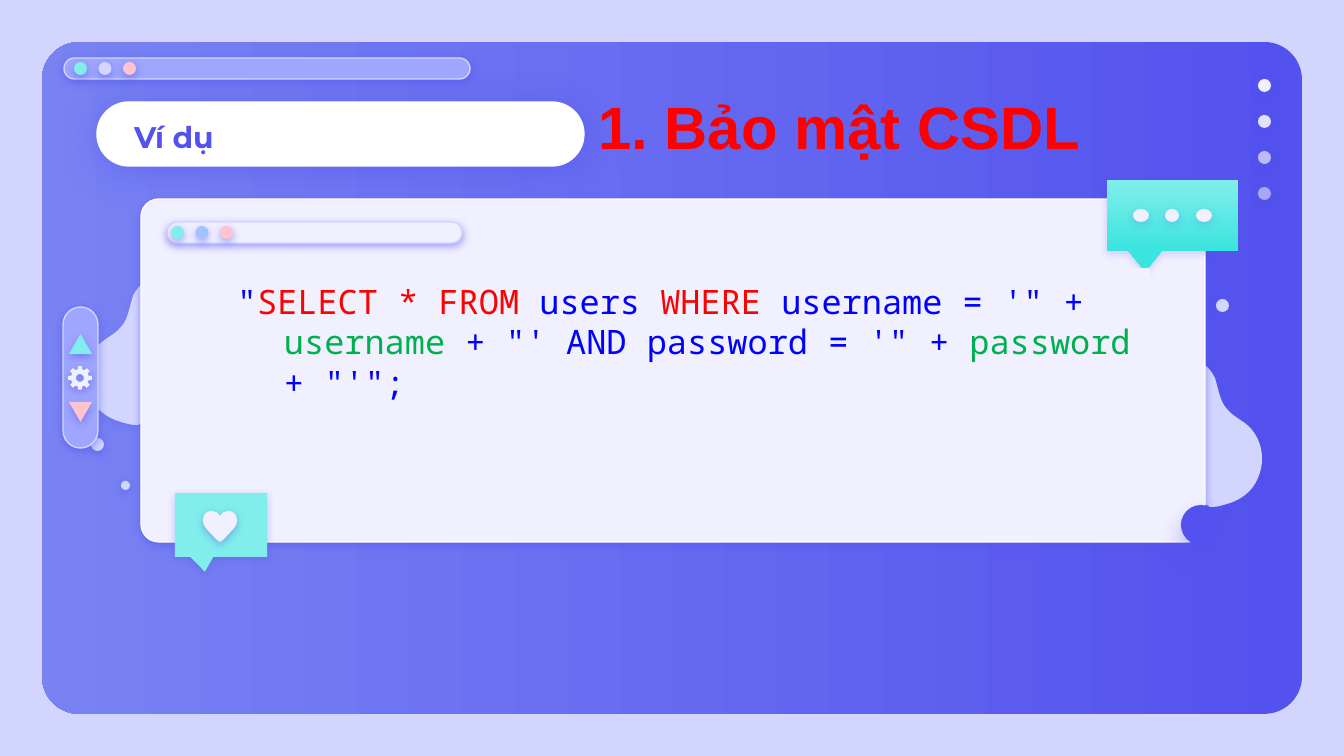
"""Build a slide showing an SQL query inside a playful window frame."""
from math import cos, pi, sin

from lxml import etree
from pptx import Presentation
from pptx.dml.color import RGBColor
from pptx.enum.shapes import MSO_SHAPE
from pptx.enum.text import MSO_ANCHOR, MSO_AUTO_SIZE, PP_ALIGN
from pptx.oxml.ns import qn
from pptx.util import Emu, Pt

ROUNDED = MSO_SHAPE.ROUNDED_RECTANGLE
OVAL = MSO_SHAPE.OVAL
TRIANGLE = MSO_SHAPE.ISOSCELES_TRIANGLE
CALLOUT = MSO_SHAPE.ROUNDED_RECTANGULAR_CALLOUT
MIDDLE, TOP = MSO_ANCHOR.MIDDLE, MSO_ANCHOR.TOP
LEFT, CENTER = PP_ALIGN.LEFT, PP_ALIGN.CENTER
NO_FIT = MSO_AUTO_SIZE.NONE

INDIGO = RGBColor(0x53, 0x52, 0xEE)
PERIWINKLE = RGBColor(0x78, 0x82, 0xF3)
LILAC = RGBColor(0x9E, 0xA6, 0xFF)
LAVENDER = RGBColor(0xD2, 0xD6, 0xFF)
PALE = RGBColor(0xF1, 0xF0, 0xFF)
WHITE = RGBColor(0xFF, 0xFF, 0xFF)
AQUA = RGBColor(0x81, 0xEE, 0xEB)
TEAL = RGBColor(0x3A, 0xE4, 0xDF)
PINK = RGBColor(0xFF, 0xC3, 0xD0)
SKY = RGBColor(0xA1, 0xC3, 0xFF)
RED = RGBColor(0xFF, 0x00, 0x00)
BLUE = RGBColor(0x00, 0x00, 0xFF)
GREEN = RGBColor(0x00, 0xB0, 0x50)

PX = 914400 / 134.4

presentation = Presentation()
presentation.slide_width = Emu(round(1344 * PX))
presentation.slide_height = Emu(round(756 * PX))
slide = presentation.slides.add_slide(presentation.slide_layouts[5])
shapes = slide.shapes
slide.background.fill.solid()
slide.background.fill.fore_color.rgb = LAVENDER


def style(shape, fill, line=None, shadow=50, blur=4.5, distance=1.5):
    """Set the fill, outline and downward shadow of a shape."""
    if isinstance(fill, tuple) and not isinstance(fill, RGBColor):
        colors, angle = fill
        shape.fill.gradient()
        shape.fill.gradient_angle = angle
        for stop, color in zip(shape.fill.gradient_stops, colors):
            stop.color.rgb = color
    else:
        shape.fill.solid()
        shape.fill.fore_color.rgb = fill
    if line is None:
        shape.line.fill.background()
    else:
        shape.line.color.rgb = line
        shape.line.width = Pt(0.75)
    shape.shadow.inherit = False
    if shadow:
        effects = shape._element.spPr.find(qn("a:effectLst"))
        outer = etree.SubElement(effects, qn("a:outerShdw"), blurRad=str(Pt(blur)),
                                 dist=str(Pt(distance)), dir="5400000", algn="bl", rotWithShape="0")
        color = etree.SubElement(outer, qn("a:srgbClr"), val=str(INDIGO))
        etree.SubElement(color, qn("a:alpha"), val=str(shadow * 1000))
    return shape


def add(kind, box, fill, adjustments=(), **options):
    """Add a preset shape, or a closed Bézier outline when kind is None."""
    if kind is not None:
        shape = shapes.add_shape(kind, *[Emu(round(value * PX)) for value in box])
        for index, value in enumerate(adjustments):
            shape.adjustments[index] = value
        return style(shape, fill, **options)
    points = [(x * PX, y * PX) for x, y in box]
    builder = shapes.build_freeform(*points[0])
    builder.add_line_segments(points[1:], close=True)
    shape = builder.convert_to_shape()
    segments = list(shape._element.iter(qn("a:lnTo")))
    for start in range(0, len(box) - 1, 3):
        curve = etree.Element(qn("a:cubicBezTo"))
        segments[start].addprevious(curve)
        for segment in segments[start:start + 3]:
            curve.append(segment[0])
            segment.getparent().remove(segment)
    return style(shape, fill, **options)


add(ROUNDED, (42, 42, 1260, 672), ((INDIGO, PERIWINKLE), 180), [0.056], shadow=0)

side_dots = []
for index, opacity in enumerate((100, 90, 67, 54)):
    dot = add(OVAL, (1258, 79 + 36 * index, 13, 13), PALE)
    color = dot._element.spPr.find(qn("a:solidFill"))[0]
    etree.SubElement(color, qn("a:alpha"), val=str(opacity * 1000))
    side_dots.append(dot)
shapes.add_group_shape(side_dots)

blob = [
    (1148, 317), (1145, 317), (1142, 319), (1141, 320), (1129, 332), (1150, 345), (1156, 355),
    (1160, 363), (1156, 375), (1154, 383), (1154, 392), (1156, 402), (1165, 407),
    (1171, 411), (1176, 414), (1180, 421), (1185, 427), (1187, 437), (1187, 446),
    (1185, 453), (1183, 462), (1183, 472), (1183, 477), (1183, 485), (1189, 492),
    (1195, 499), (1202, 503), (1207, 505), (1208, 507), (1211, 507), (1212, 507),
    (1218, 507), (1223, 505), (1227, 504), (1241, 500), (1253, 491), (1258, 478),
    (1267, 458), (1261, 433), (1242, 421), (1236, 417), (1231, 414), (1227, 409),
    (1220, 402), (1218, 387), (1215, 378), (1202, 351), (1177, 363), (1169, 347),
    (1165, 340), (1164, 335), (1161, 327), (1160, 324), (1156, 317), (1150, 317),
    (1149, 317), (1148, 317), (1148, 317),
]
add(None, blob, LAVENDER, shadow=22)
add(None, [(1348 - x, y - 82) for x, y in blob], LAVENDER, shadow=22)

add(ROUNDED, (141, 199, 1064, 343), PALE, [0.052], line=WHITE)
add(ROUNDED, (97, 102, 487, 64), WHITE, [0.5], line=WHITE, blur=19.1)

for left, top, width, bar_fill, first_dot, dot_fills in (
    (64, 58, 406, LILAC, 74, (AQUA, LAVENDER, PINK)),
    (167, 222, 295, PALE, 171, (AQUA, SKY, PINK)),
):
    add(ROUNDED, (left, top, width, 21), bar_fill, [0.5], line=LAVENDER)
    for index, fill in enumerate(dot_fills):
        add(OVAL, (first_dot + 24.5 * index, top + 4, 13, 13), fill)

like_bubble = add(CALLOUT, (175, 493, 92, 64), AQUA, [-0.174, 0.731, 0], shadow=31)
half_heart = [(220, 516), (222, 513), (225, 511), (228, 511), (234, 511), (237, 515), (237, 521),
              (237, 527), (232, 530), (226, 537), (224, 539), (222, 541), (220, 542)]
heart = half_heart + [(440 - x, y) for x, y in half_heart[-2::-1]]
shapes.add_group_shape([like_bubble, add(None, heart, PALE, shadow=38)])

chat_bubble = [add(CALLOUT, (1107, 180, 131, 71), ((AQUA, TEAL), 270), [-0.209, 0.79, 0], shadow=24)]
for left, width in ((1133, 16), (1165, 14), (1196, 16)):
    chat_bubble.append(add(OVAL, (left, 209, width, 13), PALE, shadow=18))
shapes.add_group_shape(chat_bubble)

add(OVAL, (1181, 505, 40, 40), INDIGO, shadow=38, blur=12.4, distance=6.8)
for left, top, size in ((91, 438, 13), (121, 481, 9), (1216, 299, 13)):
    add(OVAL, (left, top, size, size), LAVENDER)

add(ROUNDED, (63, 307, 35, 141), LILAC, [0.5], line=LAVENDER)
add(TRIANGLE, (69, 334, 23, 20), AQUA)
add(TRIANGLE, (69, 402, 23, 20), PINK).rotation = 180

gear = []
for tooth in range(8):
    for radius, offset in ((9, -0.24), (12, -0.18), (12, 0.18), (9, 0.24)):
        angle = tooth * pi / 4 + offset
        gear.append((PX * (80 + radius * cos(angle)), PX * (378 + radius * sin(angle))))
hole = [(PX * (80 + 4 * cos(step * pi / 6)), PX * (378 - 4 * sin(step * pi / 6)))
        for step in range(12)]
builder = shapes.build_freeform(*gear[0])
builder.add_line_segments(gear[1:], close=True)
builder.move_to(*hole[0])
builder.add_line_segments(hole[1:], close=True)
style(builder.convert_to_shape(), PALE, shadow=52)

title = shapes.title
shapes._spTree.append(title._element)
code = shapes.add_textbox(0, 0, 0, 0)
heading = shapes.add_textbox(0, 0, 0, 0)
code_runs = [
    ('"', BLUE), ("SELECT * FROM ", RED), ("users ", BLUE), ("WHERE", RED),
    (" username = '\" + ", BLUE), ("username", GREEN),
    (" + \"' AND password = '\" + ", BLUE), ("password", GREEN), (" + \"'\";", BLUE),
]
for shape, box, inset, anchor, alignment, fill, font, runs in (
    (title, (121, 118, 439, 38), 13, MIDDLE, LEFT, WHITE,
     {"name": "Montserrat", "size": Pt(16), "bold": True}, [("Ví dụ", INDIGO)]),
    (code, (204, 268, 946, 218), 13, TOP, LEFT, PALE,
     {"name": "Noto Sans Mono", "size": Pt(18), "bold": False}, code_runs),
    (heading, (538, 105, 603, 42), 0, MIDDLE, CENTER, None,
     {"name": "Arial", "size": Pt(32), "bold": True}, [("1. Bảo mật CSDL", RED)]),
):
    for name, value in zip(("left", "top", "width", "height"), box):
        setattr(shape, name, Emu(round(value * PX)))
    if fill is not None:
        shape.fill.solid()
        shape.fill.fore_color.rgb = fill
    frame = shape.text_frame
    frame_format = {"word_wrap": True, "auto_size": NO_FIT, "vertical_anchor": anchor}
    for side in ("left", "top", "right", "bottom"):
        frame_format["margin_" + side] = Emu(round(inset * PX))
    for name, value in frame_format.items():
        setattr(frame, name, value)
    paragraph = frame.paragraphs[0]
    paragraph.alignment = alignment
    for text, color in runs:
        run = paragraph.add_run()
        run.text = text
        for name, value in font.items():
            setattr(run.font, name, value)
        run.font.color.rgb = color

paragraph = code.text_frame.paragraphs[0]
paragraph.line_spacing = Pt(21.6)
properties = paragraph._element.get_or_add_pPr()
properties.set("marL", str(round(67 * PX)))
properties.set("indent", str(round(-47 * PX)))

presentation.save("out.pptx")
